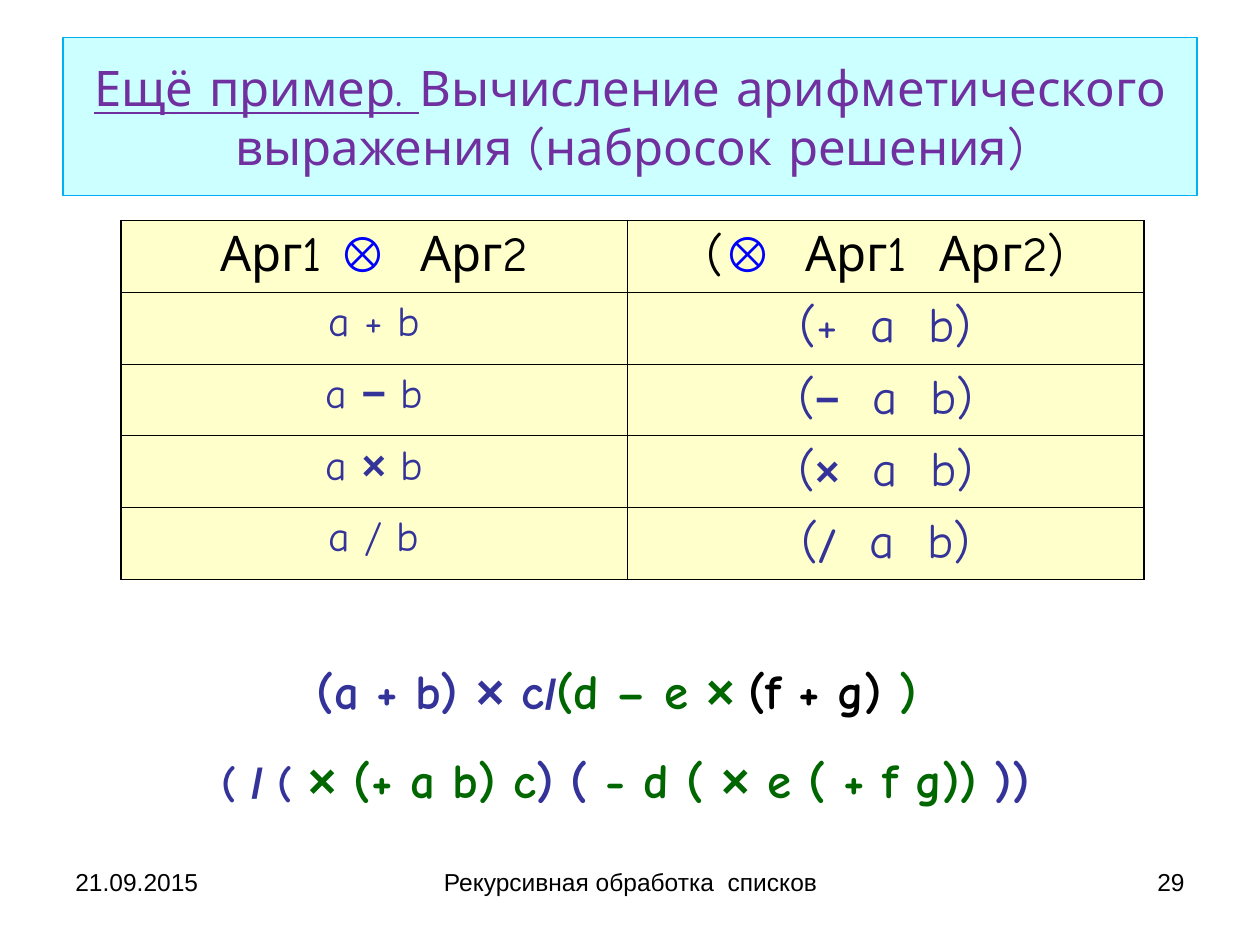
from dataclasses import dataclass

from lxml import etree
from pptx import Presentation
from pptx import util as u
from pptx.dml.color import RGBColor
from pptx.enum import shapes, text
from pptx.oxml.ns import qn


@dataclass(frozen=True)
class Theme:
    body: str = "Comic Neue"
    sign: str = "Arial"
    black: str = "000000"
    blue: str = "333399"
    green: str = "006600"
    mark: str = "0000FF"
    head: str = "7030A0"
    sky: str = "CCFFFF"
    edge: str = "00B0F0"
    cream: str = "FFFFCC"
    big: int = 28
    mid: int = 24
    small: int = 14
    thick: float = 1.08
    thin: float = 0.45


T = Theme()
WIDE, HIGH = 10, 7.5
SIDE = 0.05 * WIDE
LEFT, MID, RIGHT = text.PP_ALIGN.LEFT, text.PP_ALIGN.CENTER, text.PP_ALIGN.RIGHT


def style(font, size=None, name=None, color=None, bold=None, line=None):
    if size:
        font.size = u.Pt(size)
    if name:
        font.name = name
    if color:
        font.color.rgb = RGBColor.from_string(color)
    if bold is not None:
        font.bold = bold
    if line:
        font.underline = True


def write(para, runs, align=MID, **base):
    para.alignment = align
    style(para.font, **base)
    for words, own in runs:
        run = para.add_run()
        run.text = words
        style(run.font, **own)


def place(x, y, w, h):
    return [u.Inches(v) for v in (x, y, w, h)]


def add_box(slide, area):
    frame = slide.shapes.add_textbox(*place(*area)).text_frame
    frame.word_wrap = True
    return frame


def add_title(slide):
    box = slide.shapes.add_shape(
        shapes.MSO_SHAPE.RECTANGLE, *place(SIDE, 0.04 * HIGH, WIDE - 2 * SIDE, HIGH / 6))
    box.shadow.inherit = False
    box.fill.solid()
    box.fill.fore_color.rgb = RGBColor.from_string(T.sky)
    box.line.color.rgb = RGBColor.from_string(T.edge)
    box.line.width = u.Pt(0.75)
    frame = box.text_frame
    frame.word_wrap = True
    frame.vertical_anchor = text.MSO_ANCHOR.MIDDLE
    runs = [("Ещё пример. ", {"line": True}),
            ("Вычисление арифметического выражения (набросок решения)", {})]
    write(frame.paragraphs[0], runs, size=T.big, name=T.body, color=T.head)


def add_edge(cell, side, width):
    props = cell._tc.get_or_add_tcPr()
    line = etree.SubElement(props, qn("a:ln" + side), w=str(u.Pt(width)))
    fill = etree.SubElement(line, qn("a:solidFill"))
    etree.SubElement(fill, qn("a:srgbClr"), val=T.black)


def table_rows():
    mark = ("⊗", {"name": T.sign, "color": T.mark, "bold": True})
    rows = [([("Арг1 ", {}), mark, ("  Арг2", {})],
             [("(", {}), mark, ("  Арг1  Арг2)", {})])]
    rows.append(([("a + b", {})], [("(+  a  b)", {})]))
    for sign, name in (("−", T.sign), ("×", T.sign), ("/", T.body)):
        own = {"name": name, "bold": True}
        infix = [("a / b", {})] if sign == "/" else [("a ", {}), (sign, own), (" b", {})]
        prefix = [("(", {}), (sign, {**own, "size": T.mid}), ("  a  b)", {})]
        rows.append((infix, prefix))
    return rows


def add_grid(slide):
    rows = table_rows()
    last = len(rows) - 1
    frame = slide.shapes.add_table(len(rows), 2, *place(0.96, 1.75, 8.12, 0.57 * len(rows)))
    table = frame.table
    for col, width in zip(table.columns, (4.02, 4.1)):
        col.width = u.Inches(width)
    for r, row in enumerate(rows):
        for c, runs in enumerate(row):
            cell = table.cell(r, c)
            outer = {"L": c == 0, "R": c == 1, "T": r == 0, "B": r == last}
            for side, rim in outer.items():
                add_edge(cell, side, T.thick if rim else T.thin)
            cell.fill.solid()
            cell.fill.fore_color.rgb = RGBColor.from_string(T.cream)
            write(cell.text_frame.paragraphs[0], runs, name=T.body, bold=False,
                  size=T.mid if r and c == 0 else T.big,
                  color=T.blue if r else T.black)


def add_sums(slide):
    frame = add_box(slide, (0.48, 5.19, 8.97, 1.28))
    sign, green = {"name": T.sign}, {"color": T.green}
    slash = {"size": T.mid, **sign}
    times = {**sign, **green}
    small = {"size": T.mid}
    infix = [("(a + b) ", {}), ("×", sign), (" c", {}), ("/", slash),
             ("(d – e ", green), ("× ", times), ("(f + g)", {"color": T.black}),
             (" ) ", green)]
    prefix = [("( ", small), ("/", slash), (" ( ", small), ("×", times),
              (" (+ a b) c", green), (") ( ", {}), ("- d ( ", green),
              ("×", times), (" e ( + f g)) ", green), ("))", {})]
    base = {"size": T.big, "name": T.body, "color": T.blue, "bold": True}
    write(frame.paragraphs[0], infix, **base)
    below = frame.add_paragraph()
    below.space_before = u.Pt(17.5)
    write(below, prefix, **base)


def add_foot(slide):
    parts = [("21.09.2015", SIDE, 2.33, LEFT),
             ("Рекурсивная обработка  списков", 3.42, 3.17, MID),
             ("29", 7.17, 2.33, RIGHT)]
    for words, x, w, align in parts:
        para = add_box(slide, (x, 6.83, w, 0.52)).paragraphs[0]
        write(para, [(words, {})], align, size=T.small, name=T.sign, color=T.black)


def main():
    deck = Presentation()
    deck.slide_width, deck.slide_height = u.Inches(WIDE), u.Inches(HIGH)
    slide = deck.slides.add_slide(deck.slide_layouts[6])
    add_foot(slide)
    add_title(slide)
    add_grid(slide)
    add_sums(slide)
    deck.save("out.pptx")


if __name__ == "__main__":
    main()
